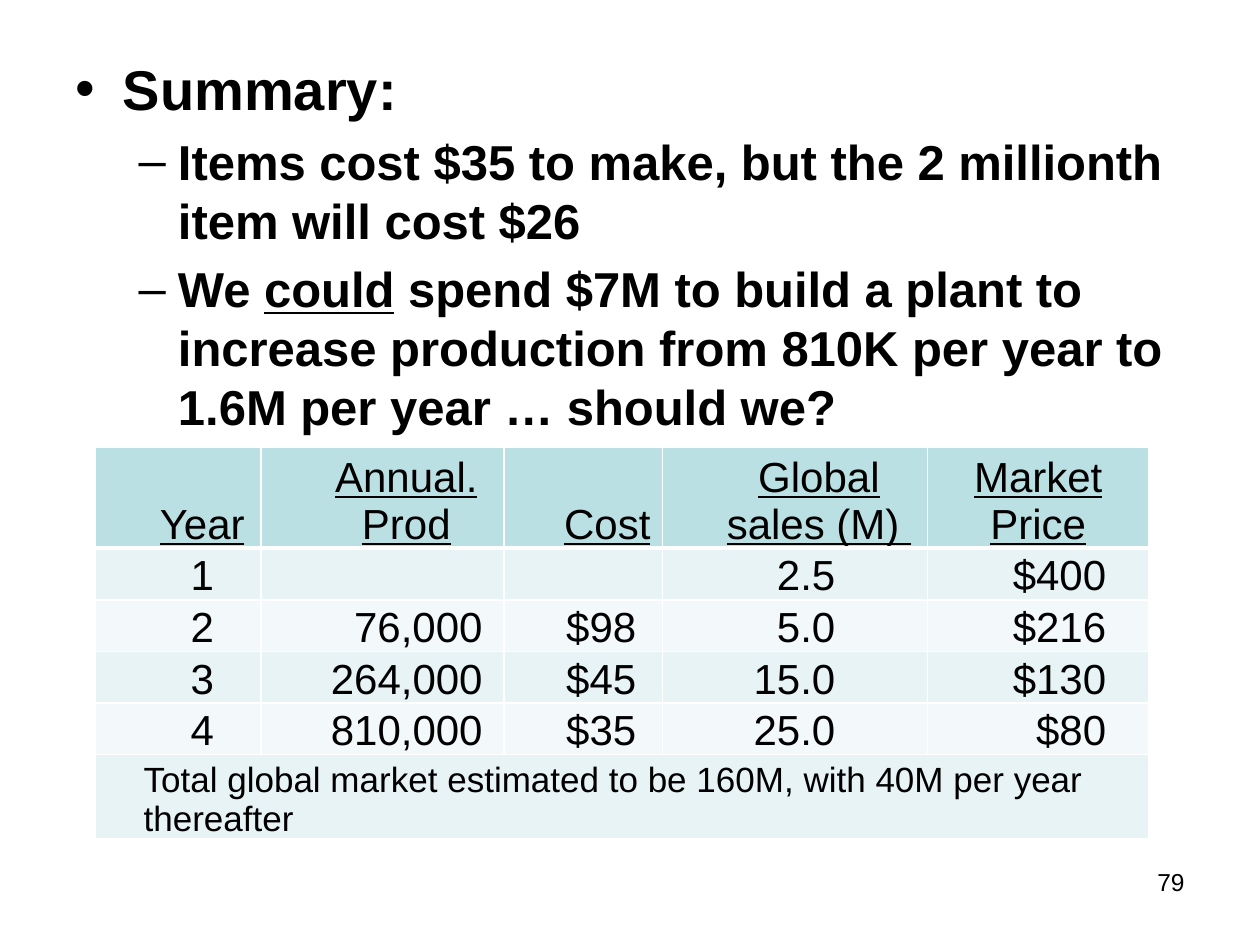
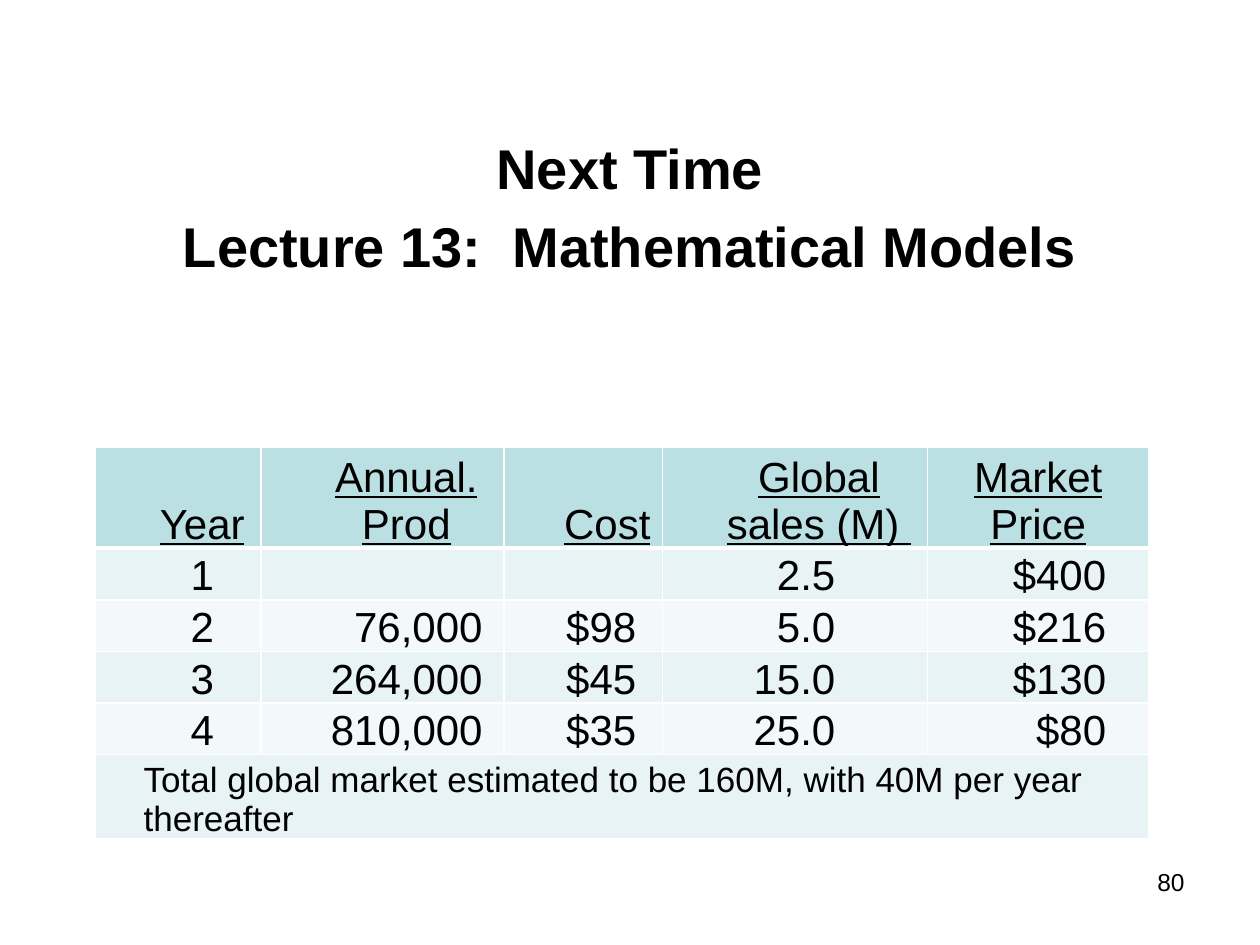
from dataclasses import dataclass
from typing import Any

from lxml import etree
from pptx import Presentation
from pptx.dml.color import RGBColor
from pptx.enum.text import MSO_ANCHOR, MSO_AUTO_SIZE, PP_ALIGN
from pptx.oxml.ns import qn
from pptx.util import Inches, Pt

CENTER, RIGHT, LEFT = PP_ALIGN.CENTER, PP_ALIGN.RIGHT, PP_ALIGN.LEFT
BOTTOM = MSO_ANCHOR.BOTTOM
NO_FIT = MSO_AUTO_SIZE.NONE

BLACK = RGBColor(0x00, 0x00, 0x00)
WHITE = RGBColor(0xFF, 0xFF, 0xFF)
TEAL = RGBColor(0xBB, 0xE0, 0xE3)
PALE = RGBColor(0xE7, 0xF3, 0xF4)
MIST = RGBColor(0xF3, 0xF9, 0xFA)
FONT = "Arial"
PAD = 0.38  # left inset of most cells


@dataclass
class Column:
    head: str
    width: float
    align: Any
    right: float  # right inset that lines up the figures
    cells: list[str]
    pad: float = PAD  # left inset of the heading


@dataclass
class Line:
    runs: list[str]  # every second run is underlined
    level: int = 0
    size: int = 32


COLUMNS = [
    Column("Year", 1.31, CENTER, 0, ["1", "2", "3", "4"]),
    Column("Annual. Prod", 1.93, RIGHT, 0.17,
           ["", "76,000", "264,000", "810,000"]),
    Column("Cost", 1.26, RIGHT, 0.21, ["", "$98", "$45", "$35"]),
    Column("Global sales (M) ", 2.1, RIGHT, 0.73,
           ["2.5", "5.0", "15.0", "25.0"]),
    Column("Market Price", 1.76, RIGHT, 0.34,
           ["$400", "$216", "$130", "$80"], pad=0),
]
NOTE = "Total global market estimated to be 160M, with 40M per year thereafter"
HEIGHTS = [0.74] + [0.41] * 4 + [0.61]

SUMMARY = [
    Line(["Summary:"]),
    Line(["Items cost $35 to make, but the 2 millionth item will cost $26"],
         1, 28),
    Line(["We ", "could", " spend $7M to build a plant to increase production "
          "from 810K per year to 1.6M per year … should we?"], 1, 28),
]
NEXT = [Line(["Next Time"]), Line(["Lecture 13:  Mathematical Models"])]


def style(item: Any, **values: Any) -> None:
    for name, value in values.items():
        setattr(item, name, value)


def add_run(para: Any, text: str, size: int, **values: Any) -> None:
    run = para.add_run()
    run.text = text
    style(run.font, name=FONT, size=Pt(size), **values)
    run.font.color.rgb = BLACK


def add_body(slide: Any, lines: list[Line], centred: bool) -> None:
    title = slide.shapes.title.element
    title.getparent().remove(title)
    body = slide.placeholders[1]
    style(body, left=Inches(0.5), top=Inches(0.38),
          width=Inches(9), height=Inches(6.37))
    body.fill.solid()
    body.fill.fore_color.rgb = WHITE
    tint = body.element.spPr.find(qn("a:solidFill"))[0]
    etree.SubElement(tint, qn("a:alpha"), val="90000")
    frame = body.text_frame
    style(frame, auto_size=NO_FIT, word_wrap=True,
          margin_top=Inches(0.68 if centred else 0.05))
    for i, line in enumerate(lines):
        para = frame.add_paragraph() if i else frame.paragraphs[0]
        para.level = line.level
        if centred:
            para.alignment = CENTER
            props = para._p.get_or_add_pPr()
            props.set("marL", "0")
            props.set("indent", "0")
            etree.SubElement(props, qn("a:buNone"))
        for j, text in enumerate(line.runs):
            add_run(para, text, line.size, bold=True, underline=j % 2 == 1)


def add_number(slide: Any, number: int) -> None:
    box = slide.shapes.add_textbox(Inches(7.17), Inches(6.83),
                                   Inches(2.33), Inches(0.52))
    box.text_frame.word_wrap = True
    para = box.text_frame.paragraphs[0]
    para.alignment = RIGHT
    add_run(para, str(number), 14)


def add_edges(cell: Any, row: int) -> None:
    props = cell._tc.get_or_add_tcPr()
    heavy = {"B": row == 0, "T": row == 1}
    for side in "LRTB":
        width = Pt(3 if heavy.get(side) else 1)
        edge = etree.SubElement(props, qn(f"a:ln{side}"), w=str(width))
        fill = etree.SubElement(edge, qn("a:solidFill"))
        etree.SubElement(fill, qn("a:srgbClr"), val=str(WHITE))


def fill_cell(cell: Any, row: int, text: str, align: Any, left: float = PAD,
              right: float = 0, size: int = 24) -> None:
    add_edges(cell, row)
    cell.fill.solid()
    cell.fill.fore_color.rgb = TEAL if row == 0 else PALE if row % 2 else MIST
    style(cell, vertical_anchor=BOTTOM, margin_left=Inches(left),
          margin_right=Inches(right), margin_top=0, margin_bottom=0)
    para = cell.text_frame.paragraphs[0]
    para.alignment = align
    if text:
        add_run(para, text, size, bold=False, underline=row == 0)


def add_sales(slide: Any) -> None:
    last = len(HEIGHTS) - 1
    table = slide.shapes.add_table(
        len(HEIGHTS), len(COLUMNS), Inches(0.76), Inches(3.55),
        Inches(sum(c.width for c in COLUMNS)), Inches(sum(HEIGHTS))).table
    for row, height in zip(table.rows, HEIGHTS):
        row.height = Inches(height)
    for i, col in enumerate(COLUMNS):
        table.columns[i].width = Inches(col.width)
        fill_cell(table.cell(0, i), 0, col.head, CENTER, col.pad)
        for row, text in enumerate(col.cells, 1):
            fill_cell(table.cell(row, i), row, text, col.align,
                      right=col.right)
    # Closing note across the full width
    table.cell(last, 0).merge(table.cell(last, len(COLUMNS) - 1))
    fill_cell(table.cell(last, 0), last, NOTE, LEFT, size=20)


def main() -> None:
    deck = Presentation()
    style(deck, slide_width=Inches(10), slide_height=Inches(7.5))
    pages = [(79, SUMMARY, False), (80, NEXT, True)]
    for number, lines, centred in pages:
        slide = deck.slides.add_slide(deck.slide_layouts[1])
        add_body(slide, lines, centred)
        add_number(slide, number)
        add_sales(slide)
    deck.save("out.pptx")


if __name__ == "__main__":
    main()
